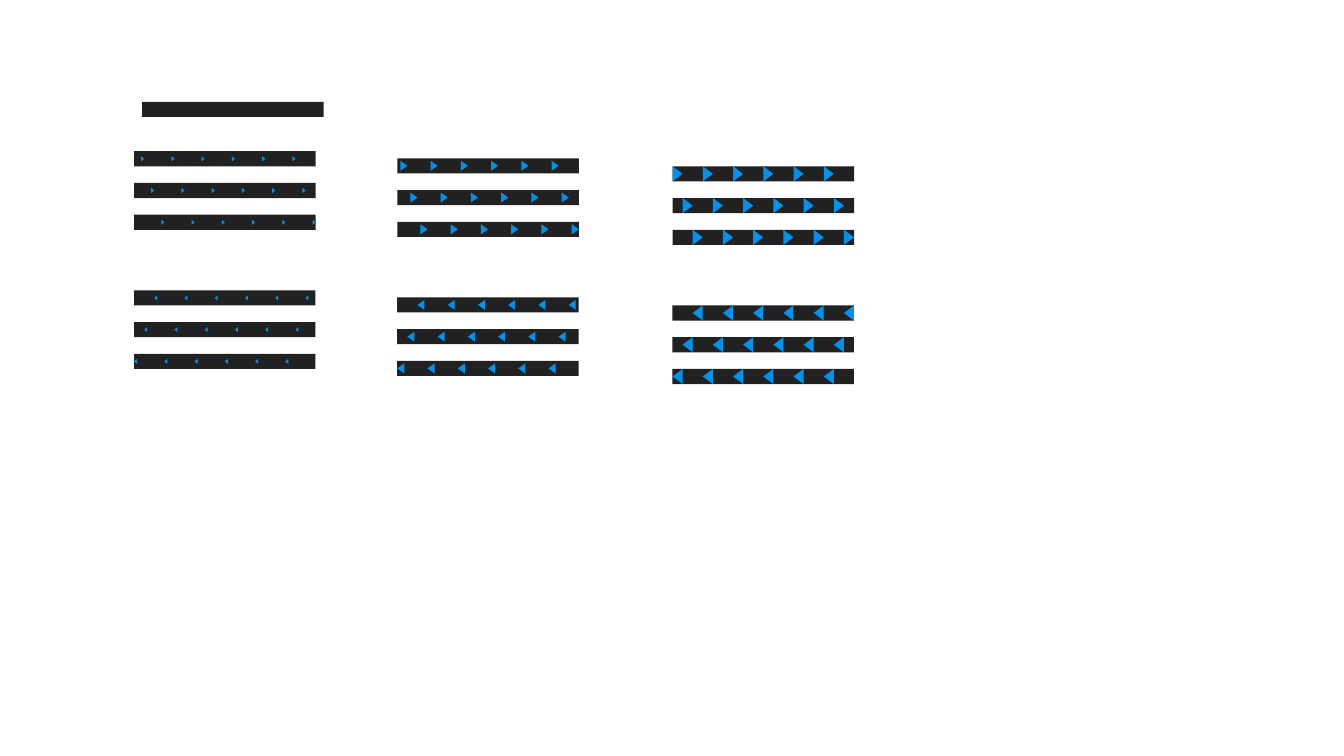
from pptx import Presentation
from pptx.dml.color import RGBColor
from pptx.enum.shapes import MSO_SHAPE as SHAPE
from pptx.util import Inches

BAR_COLOR = RGBColor(0x21, 0x21, 0x21)
ARROW_COLOR = RGBColor(0x00, 0x91, 0xEA)

RIGHT, LEFT = 90, 270
BAR_W, BAR_H = 1.8, 0.15
BARS_PER_BLOCK = 3
BAR_PITCH = 0.63 / 2
ARROWS_PER_BAR = 6
ARROW_PITCH = 0.3
PHASE = 0.1  # shift of the arrows from one bar to the next
RETURN_DROP = 1.38  # from a right-pointing block to the left-pointing one below

# Left, top, arrow width (across the bar), arrow length (along the bar)
COLUMNS = [
    (6.67, 1.65, 0.15, 0.1),
    (3.94, 1.57, 0.1, 0.07),
    (1.33, 1.5, 0.05, 0.03),
]


def add_turned(shapes, kind, center_x, center_y, width, height, turn, color):
    """Add a flat shape, turned about its centre."""
    sp = shapes.add_shape(kind, Inches(center_x - width / 2),
                          Inches(center_y - height / 2),
                          Inches(width), Inches(height))
    sp.rotation = turn
    sp.shadow.inherit = False
    sp.fill.solid()
    sp.fill.fore_color.rgb = color
    sp.line.fill.background()


def add_bar(shapes, left, top, turn):
    add_turned(shapes, SHAPE.RECTANGLE, left + BAR_W / 2, top + BAR_H / 2,
               BAR_H, BAR_W, turn, BAR_COLOR)


def add_arrow_bar(slide, left, top, frame, turn, width, length):
    """Group a bar with its row of arrows; frame sets how far they have moved."""
    shapes = slide.shapes.add_group_shape().shapes
    add_bar(shapes, left, top, turn)
    if turn == RIGHT:
        first = PHASE * (frame + 1) - length / 2
    else:
        first = PHASE * (BARS_PER_BLOCK - 1 - frame) + length / 2
    for i in range(ARROWS_PER_BAR):
        add_turned(shapes, SHAPE.ISOSCELES_TRIANGLE,
                   left + first + i * ARROW_PITCH, top + BAR_H / 2,
                   width, length, turn, ARROW_COLOR)


def add_block(slide, left, top, turn, width, length):
    """Stack the three frames of one arrow size and direction."""
    for frame in range(BARS_PER_BLOCK):
        add_arrow_bar(slide, left, top + frame * BAR_PITCH, frame,
                      turn, width, length)


def main():
    prs = Presentation()
    prs.slide_width, prs.slide_height = Inches(13.33), Inches(7.5)
    slide = prs.slides.add_slide(prs.slide_layouts[6])

    # Left-pointing blocks
    for left, top, width, length in COLUMNS:
        add_block(slide, left, top + RETURN_DROP, LEFT, width, length)

    # Empty bar
    add_bar(slide.shapes, 1.41, 1.01, RIGHT)

    # Right-pointing blocks
    for left, top, width, length in COLUMNS:
        add_block(slide, left, top, RIGHT, width, length)

    prs.save("out.pptx")


if __name__ == "__main__":
    main()
